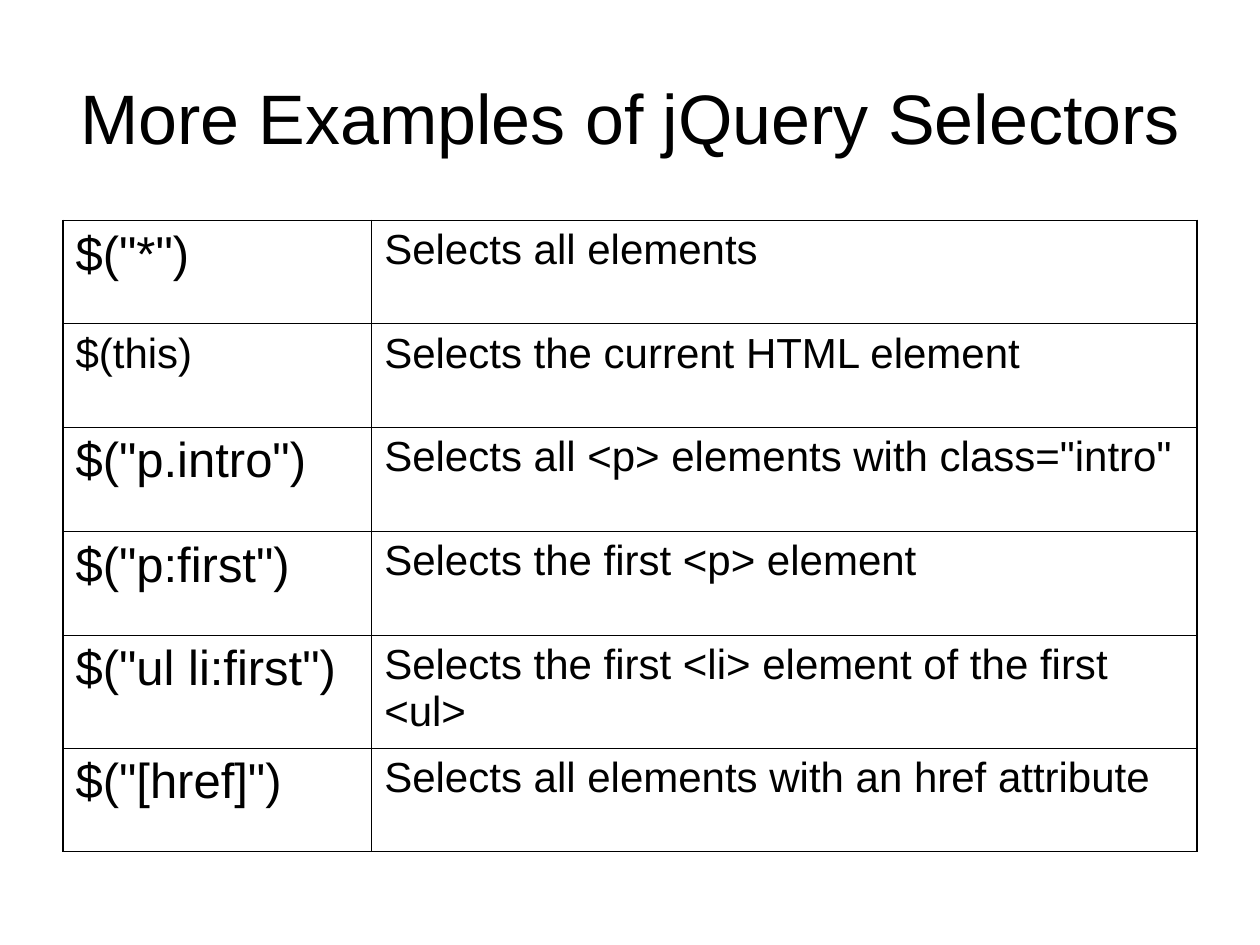
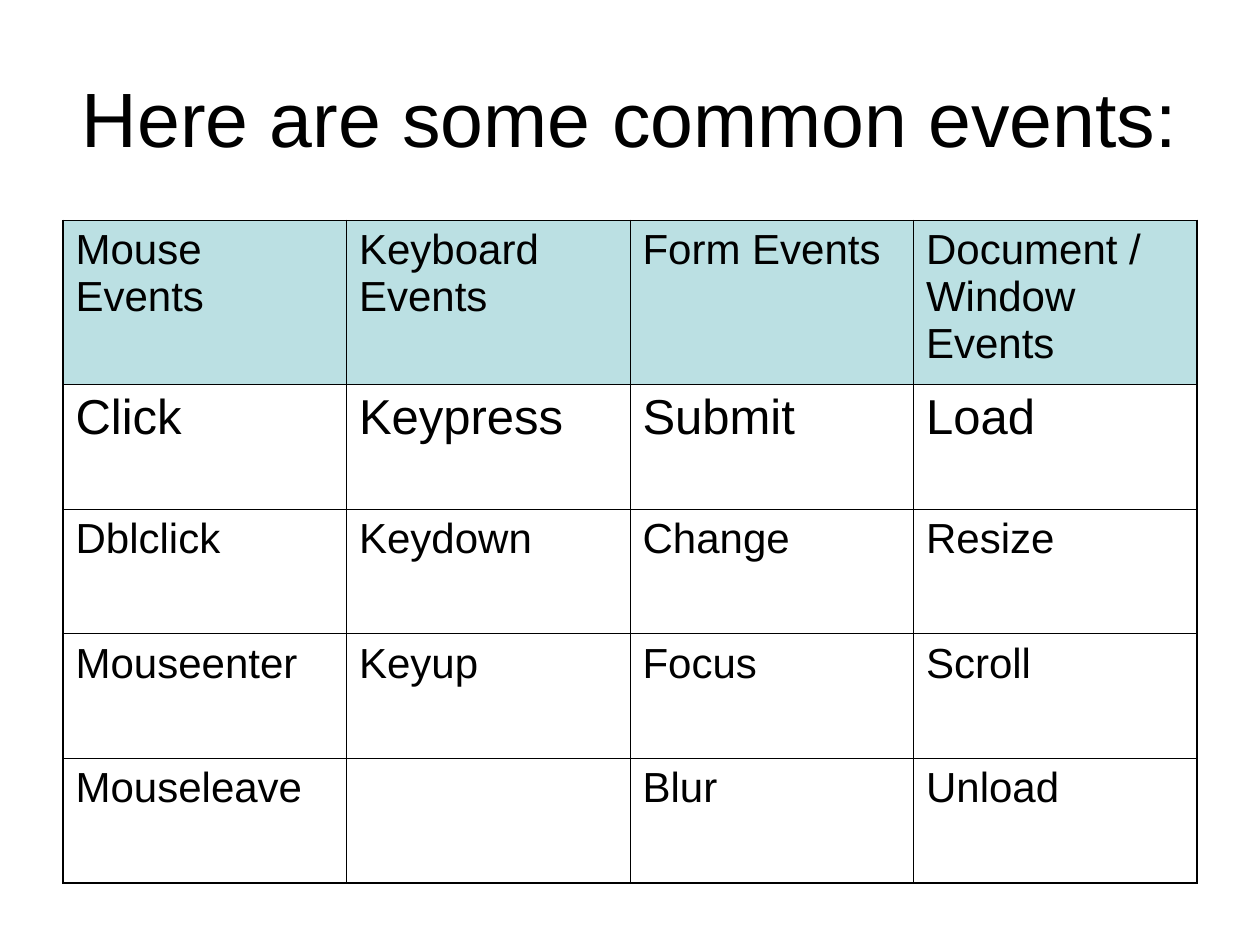
from lxml.etree import SubElement
from pptx import Presentation
from pptx.dml.color import RGBColor
from pptx.enum.text import MSO_ANCHOR, PP_ALIGN
from pptx.oxml.ns import qn
from pptx.util import Inches, Pt

BLACK = RGBColor(0x00, 0x00, 0x00)
WHITE = RGBColor(0xFF, 0xFF, 0xFF)
HEADER_TEAL = RGBColor(0xBB, 0xE0, 0xE3)
FONT = "Arial"
LEFT, WIDTH = 0.5, 9
TITLE_TOP, TITLE_HEIGHT = 0.3, 1.25
TABLE_TOP = 1.75
BODY_SIZE, LARGE_SIZE = 24, 28
SPACE_BEFORE = {BODY_SIZE: 6, LARGE_SIZE: 7}
OUTER_LINE, INNER_LINE = Pt(1.08), Pt(0.45)

SELECTORS = [
    ('$("*")', "Selects all elements"),
    ("$(this)", "Selects the current HTML element"),
    ('$("p.intro")', 'Selects all <p> elements with class="intro"'),
    ('$("p:first")', "Selects the first <p> element"),
    ('$("ul li:first")', "Selects the first <li> element of the first <ul>"),
    ('$("[href]")', "Selects all elements with an href attribute"),
]
EVENTS = [
    ("Mouse Events", "Keyboard Events", "Form Events", "Document / Window Events"),
    ("Click", "Keypress", "Submit", "Load"),
    ("Dblclick", "Keydown", "Change", "Resize"),
    ("Mouseenter", "Keyup", "Focus", "Scroll"),
    ("Mouseleave", "", "Blur", "Unload"),
]


def style_paragraph(para, size):
    para.font.name = FONT
    para.font.size = Pt(size)
    para.font.color.rgb = BLACK


def add_page(deck, title, title_size):
    page = deck.slides.add_slide(deck.slide_layouts[6])
    page.background.fill.solid()
    page.background.fill.fore_color.rgb = WHITE
    box = page.shapes.add_textbox(
        Inches(LEFT), Inches(TITLE_TOP), Inches(WIDTH), Inches(TITLE_HEIGHT)
    )
    frame = box.text_frame
    frame.word_wrap = True
    frame.vertical_anchor = MSO_ANCHOR.MIDDLE
    para = frame.paragraphs[0]
    para.text = title
    para.alignment = PP_ALIGN.CENTER
    style_paragraph(para, title_size)
    return page


def set_borders(cell, outer_sides):
    properties = cell._tc.get_or_add_tcPr()
    for position, side in enumerate("LRTB"):
        width = OUTER_LINE if side in outer_sides else INNER_LINE
        line = SubElement(properties, qn(f"a:ln{side}"), w=str(int(width)))
        fill = SubElement(line, qn("a:solidFill"))
        SubElement(fill, qn("a:srgbClr"), val=str(BLACK))
        properties.insert(position, line)


def fill_cell(cell, text, size, color):
    para = cell.text_frame.paragraphs[0]
    para.text = text
    para.space_before = Pt(SPACE_BEFORE[size])
    style_paragraph(para, size)
    if color is None:
        cell.fill.background()
    else:
        cell.fill.solid()
        cell.fill.fore_color.rgb = color


def add_grid(page, rows, widths, heights, is_large, header_color=None):
    table = page.shapes.add_table(
        len(rows), len(widths), Inches(LEFT), Inches(TABLE_TOP),
        Inches(WIDTH), Inches(sum(heights)),
    ).table
    table.first_row = table.horz_banding = False
    for column, width in zip(table.columns, widths):
        column.width = Inches(width)
    last_row, last_column = len(rows) - 1, len(widths) - 1
    for r, (texts, height) in enumerate(zip(rows, heights)):
        table.rows[r].height = Inches(height)
        for c, text in enumerate(texts):
            cell = table.cell(r, c)
            size = LARGE_SIZE if is_large(r, c) else BODY_SIZE
            fill_cell(cell, text, size, header_color if r == 0 else None)
            edges = {"L": c == 0, "R": c == last_column,
                     "T": r == 0, "B": r == last_row}
            set_borders(cell, [side for side, outer in edges.items() if outer])


def main():
    deck = Presentation()
    deck.slide_width, deck.slide_height = Inches(10), Inches(7.5)

    selectors_page = add_page(deck, "More Examples of jQuery Selectors", 40)
    add_grid(
        selectors_page, SELECTORS, [2.45, 6.55],
        [0.82, 0.82, 0.83, 0.82, 0.9, 0.82],
        lambda r, c: c == 0 and SELECTORS[r][0] != "$(this)",
    )

    events_page = add_page(deck, "Here are some common events:", 44)
    add_grid(
        events_page, EVENTS, [WIDTH / 4] * 4, [1.3] + [0.99] * 4,
        lambda r, c: r == 1, HEADER_TEAL,
    )

    deck.save("out.pptx")


if __name__ == "__main__":
    main()
